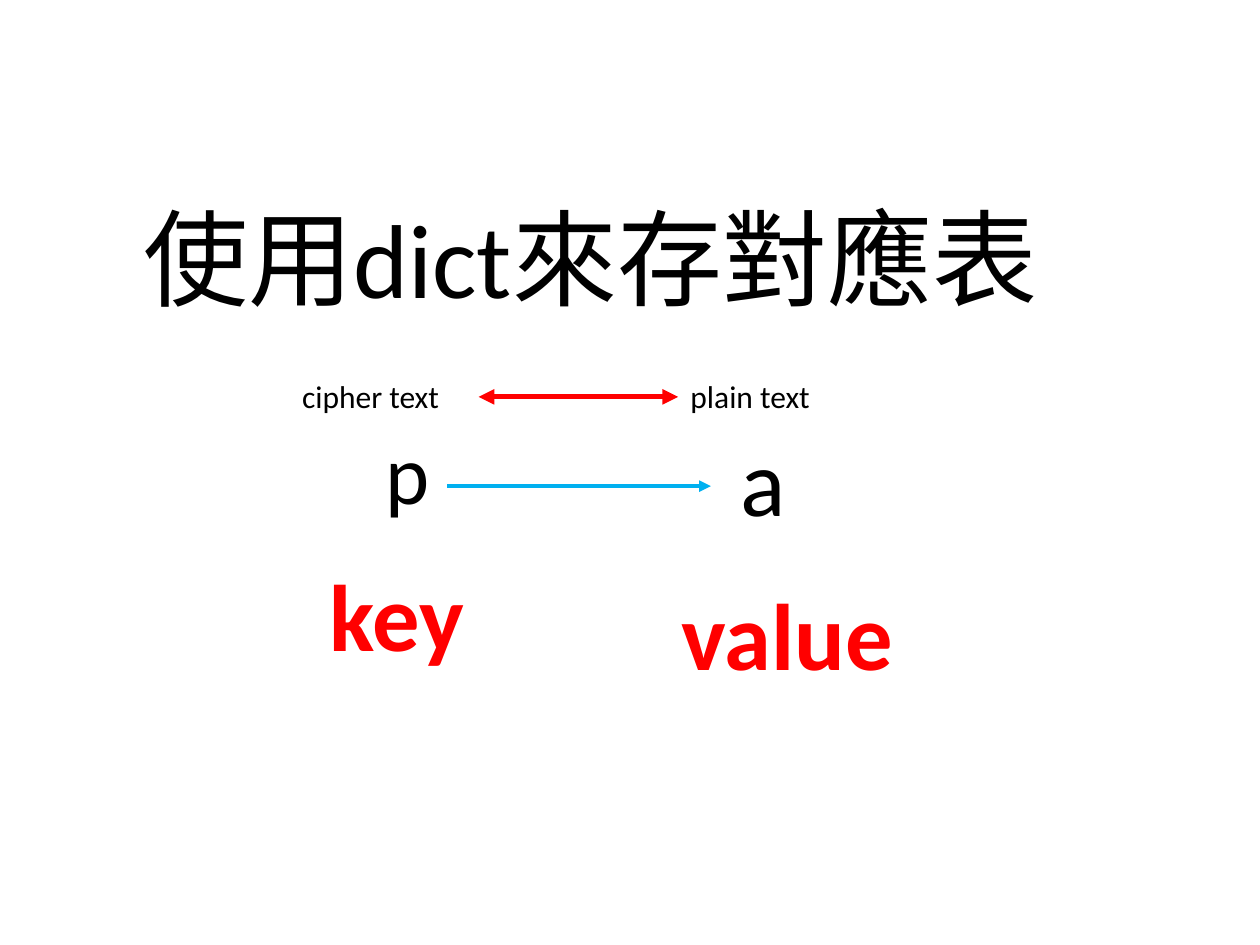
import pptx
import pptx.dml.color
import pptx.enum.shapes
import pptx.enum.text
import pptx.oxml.ns
import pptx.util
from lxml import etree

Cm = pptx.util.Cm
Pt = pptx.util.Pt

BLACK = pptx.dml.color.RGBColor(0x00, 0x00, 0x00)
RED = pptx.dml.color.RGBColor(0xFF, 0x00, 0x00)
BLUE = pptx.dml.color.RGBColor(0x00, 0xB0, 0xF0)
FONT = "Calibri"


def add_text(slide, text, left, top, width, height, size, color=BLACK,
             bold=False, wrap=False, line_spacing=None, space_before=None):
    shape = slide.shapes.add_textbox(Cm(left), Cm(top), Cm(width), Cm(height))
    frame = shape.text_frame
    frame.word_wrap = wrap
    if not wrap:
        frame.auto_size = pptx.enum.text.MSO_AUTO_SIZE.SHAPE_TO_FIT_TEXT
    paragraph = frame.paragraphs[0]
    paragraph.line_spacing = line_spacing
    paragraph.space_before = space_before
    run = paragraph.add_run()
    run.text = text
    run.font.name = FONT
    run.font.size = Pt(size)
    run.font.bold = bold
    run.font.color.rgb = color


def add_arrow(slide, start, end, y, color, width, both_ends=False):
    """Draw a horizontal arrow, optionally with a head at each end."""
    connector = slide.shapes.add_connector(
        pptx.enum.shapes.MSO_CONNECTOR.STRAIGHT, Cm(start), Cm(y), Cm(end), Cm(y))
    connector.line.color.rgb = color
    connector.line.width = Pt(width)
    qualify = pptx.oxml.ns.qn
    line = connector.line._get_or_add_ln()
    for tag in ("a:headEnd", "a:tailEnd") if both_ends else ("a:tailEnd",):
        etree.SubElement(line, qualify(tag), type="triangle")
    etree.SubElement(connector._element.spPr, qualify("a:effectLst"))


def main():
    presentation = pptx.Presentation()
    presentation.slide_width = Cm(25.4)
    presentation.slide_height = Cm(19.05)
    slide = presentation.slides.add_slide(presentation.slide_layouts[6])

    # Title
    add_text(slide, "使用dict來存對應表", 2.64, 4.06, 19.89, 2.11, 60,
             wrap=True, line_spacing=0.9, space_before=Pt(10))

    # Cipher text and plain text headings
    add_text(slide, "cipher text ", 5.84, 7.47, 3.45, 1.02, 18)
    add_text(slide, "plain text ", 13.67, 7.47, 3.1, 1.02, 18)
    add_arrow(slide, 9.65, 13.67, 8, RED, 3, both_ends=True)

    # Example letters
    add_text(slide, "p", 7.52, 8.36, 1.42, 2.31, 48)
    add_text(slide, "a", 14.68, 8.38, 1.42, 2.57, 54)
    add_arrow(slide, 9.02, 14.33, 9.8, BLUE, 2.25)

    # Roles in the dict
    add_text(slide, "key", 6.4, 11.1, 3.25, 2.57, 54, color=RED, bold=True)
    add_text(slide, "value", 13.49, 11.48, 4.8, 2.57, 54, color=RED, bold=True)

    presentation.save("out.pptx")


main()
